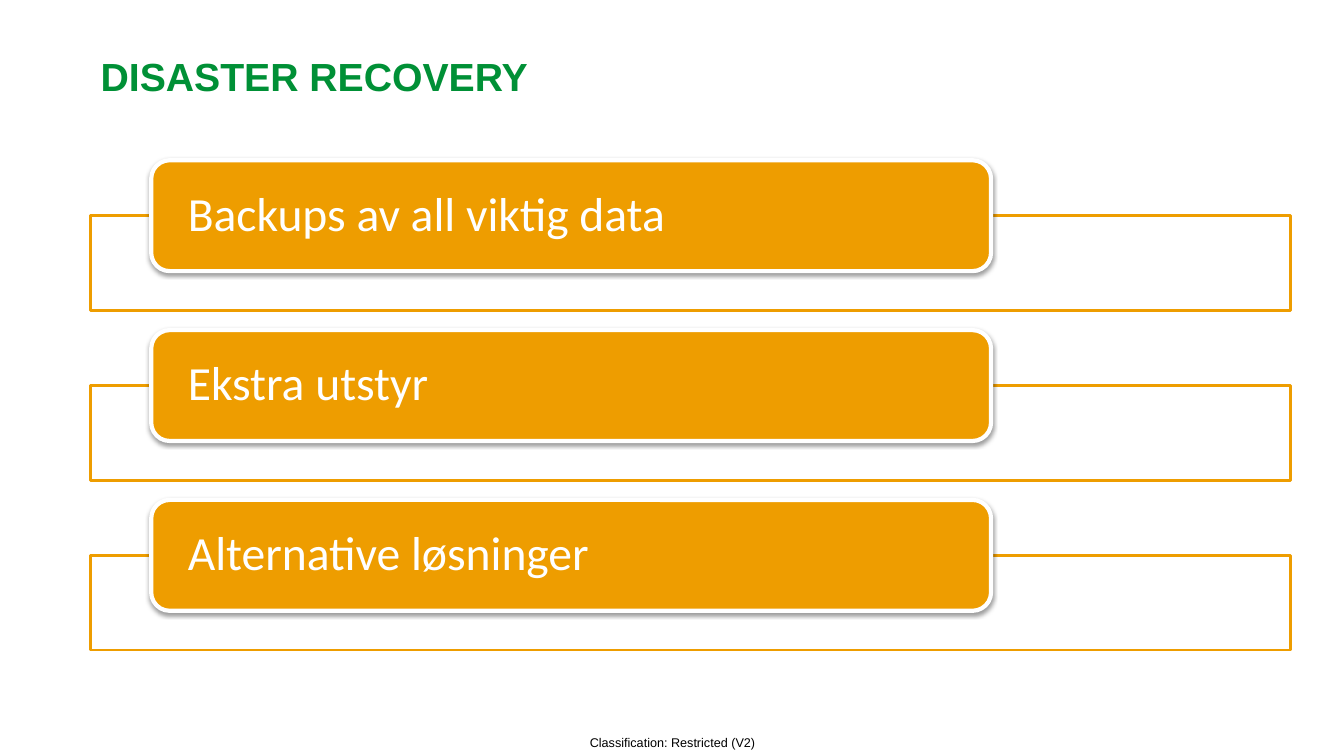
from lxml.etree import SubElement
from pptx import Presentation
from pptx.dml.color import RGBColor
from pptx.enum.shapes import MSO_SHAPE
from pptx.enum.text import MSO_ANCHOR, PP_ALIGN
from pptx.oxml.ns import qn
from pptx.util import Inches, Pt

GREEN = RGBColor(0x00, 0x90, 0x36)
ORANGE = RGBColor(0xEE, 0x9D, 0x00)
WHITE = RGBColor(0xFF, 0xFF, 0xFF)
BLACK = RGBColor(0x00, 0x00, 0x00)

MEASURES = ["Backups av all viktig data", "Ekstra utstyr", "Alternative løsninger"]

# Grid: content column and row rhythm, in inches
LEFT, WIDTH = 0.9, 11.9
FIRST_ROW, ROW_STEP = 1.59, 1.685
BAR_INDENT, BAR_WIDTH, BAR_HEIGHT = 0.6, 0.7 * WIDTH, 1.1
FRAME_DROP, FRAME_HEIGHT = BAR_HEIGHT / 2, 0.94


def style_text(shape, text, font_name, size, color, bold=False):
    frame = shape.text_frame
    frame.word_wrap = True
    para = frame.paragraphs[0]
    para.text = text
    font = para.runs[0].font
    font.name, font.size, font.bold = font_name, Pt(size), bold
    font.color.rgb = color
    return frame, para


def add_panel(kind, left, top, width, height, fill, line, line_width):
    panel = slide.shapes.add_shape(
        kind, Inches(left), Inches(top), Inches(width), Inches(height))
    panel.shadow.inherit = False
    panel.fill.solid()
    panel.fill.fore_color.rgb = fill
    panel.line.color.rgb = line
    panel.line.width = Pt(line_width)
    return panel


deck = Presentation()
deck.slide_width, deck.slide_height = Inches(13.33), Inches(7.5)
slide = deck.slides.add_slide(deck.slide_layouts[6])

# Classification footer
footer = slide.shapes.add_textbox(Inches(5.69), Inches(7.24), Inches(1.96), Inches(0.26))
frame, para = style_text(footer, "Classification: Restricted (V2)", "Arial", 9, BLACK)
frame.margin_left = frame.margin_right = frame.margin_top = frame.margin_bottom = 0
frame.vertical_anchor = MSO_ANCHOR.MIDDLE
para.alignment = PP_ALIGN.CENTER

# Title
title = slide.shapes.add_textbox(Inches(LEFT), Inches(0.52), Inches(WIDTH), Inches(0.9))
frame, para = style_text(title, "DISASTER RECOVERY", "Arial", 28, GREEN, bold=True)
para.line_spacing = Pt(30)

# One outlined frame with a labelled bar on its upper edge per measure
for row, measure in enumerate(MEASURES):
    top = FIRST_ROW + row * ROW_STEP
    outline = add_panel(MSO_SHAPE.RECTANGLE, LEFT, top + FRAME_DROP,
                        WIDTH, FRAME_HEIGHT, WHITE, ORANGE, 2)
    fill_color = outline.fill._xPr.find(qn("a:solidFill"))[0]
    SubElement(fill_color, qn("a:alpha"), val="90000")

    bar = add_panel(MSO_SHAPE.ROUNDED_RECTANGLE, LEFT + BAR_INDENT, top,
                    BAR_WIDTH, BAR_HEIGHT, ORANGE, WHITE, 3)
    frame, para = style_text(bar, measure, "Calibri", 34, WHITE)
    frame.margin_left = frame.margin_right = Inches(0.31)
    frame.margin_top = frame.margin_bottom = 0
    frame.vertical_anchor = MSO_ANCHOR.MIDDLE
    para.alignment = PP_ALIGN.LEFT
    para.line_spacing = 0.9

    # Soft shadow straight below the bar
    effects = bar.fill._xPr.find(qn("a:effectLst"))
    shadow = SubElement(effects, qn("a:outerShdw"), blurRad=str(Pt(3.1)),
                        dist=str(Pt(1.6)), dir="5400000", rotWithShape="0")
    shadow_color = SubElement(shadow, qn("a:srgbClr"), val=str(BLACK))
    SubElement(shadow_color, qn("a:alpha"), val="38000")

deck.save("out.pptx")
